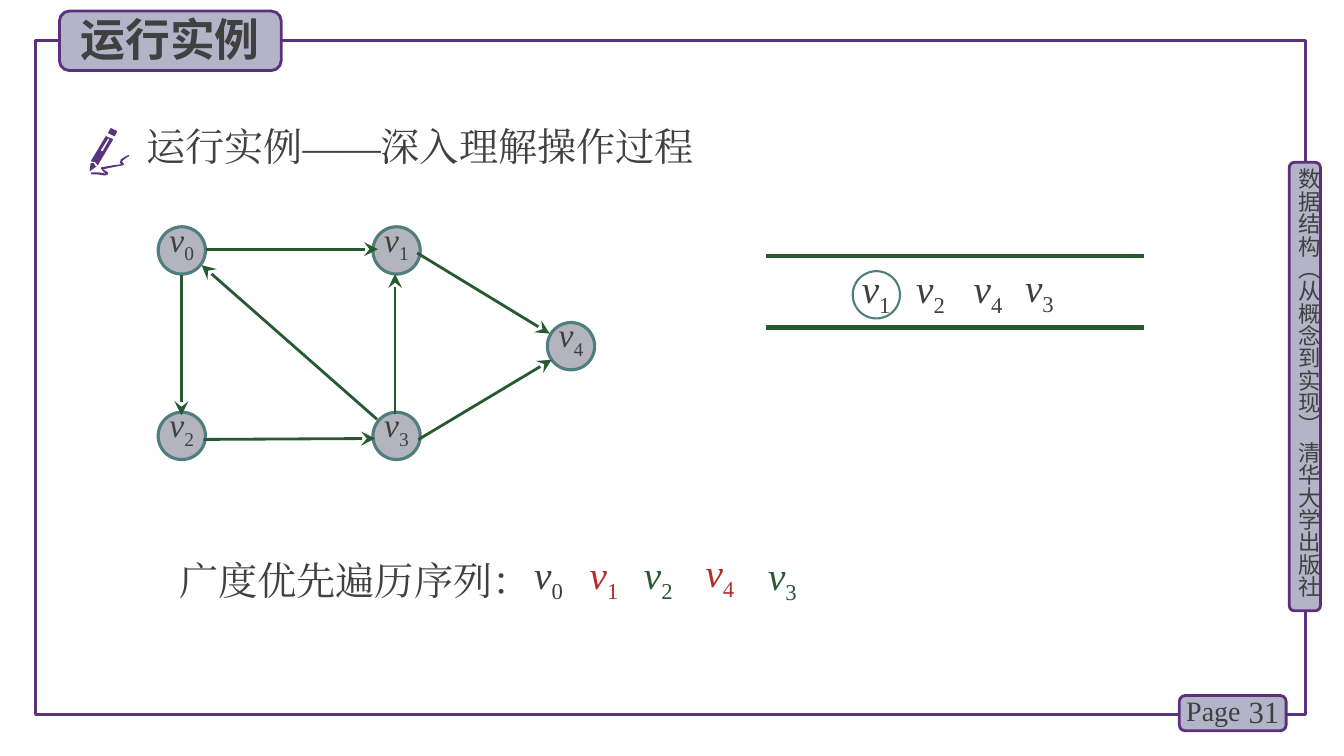
from lxml import etree
from pptx import Presentation, util as u
from pptx.dml.color import RGBColor
from pptx.enum import shapes, text
from pptx.oxml import ns

SONG, TIMES = "Noto Sans CJK SC", "Times New Roman"
INK, EDGE, RED, GREEN = "404040", "5C307D", "B42D2D", "285A32"
FRAME, TAB, NODE, RIM = "5A327D", "B4B4C8", "B4B4BE", "507D7D"
RECT, ROUND, OVAL = (shapes.MSO_SHAPE.RECTANGLE, shapes.MSO_SHAPE.ROUNDED_RECTANGLE,
                     shapes.MSO_SHAPE.OVAL)
MARGINS = ("margin_left", "margin_top", "margin_right", "margin_bottom")
SIZE = 33.8  # diameter of a graph node


def color(code):
    return RGBColor.from_string(code)


def put(item, values):
    """Set each attribute of item from a dict."""
    for name, value in values.items():
        setattr(item, name, value)


def add(parent, tag, **attrs):
    return etree.SubElement(parent, ns.qn(tag), attrs)


class Board:
    def __init__(self, slide):
        self.items = slide.shapes

    def paint(self, item, fill, line, width):
        item.shadow.inherit = False
        if fill:
            item.fill.solid()
            item.fill.fore_color.rgb = color(fill)
        else:
            item.fill.background()
        if line:
            item.line.color.rgb = color(line)
            item.line.width = u.Pt(width)
        else:
            item.line.fill.background()

    def shape(self, kind, box, fill=None, line=None, width=2):
        item = self.items.add_shape(kind, *map(u.Pt, box))
        self.paint(item, fill, line, width)
        return item

    def free(self, *loops):
        """Fill closed loops, given in tenths of a point."""
        pen = self.items.build_freeform(*loops[0][0], scale=u.Pt(0.1))
        pen.add_line_segments(loops[0][1:], close=True)
        for loop in loops[1:]:
            pen.move_to(*loop[0])
            pen.add_line_segments(loop[1:], close=True)
        self.paint(pen.convert_to_shape(), FRAME, None, 0)

    def line(self, start, end, width=2, head=False):
        item = self.items.add_connector(
            shapes.MSO_CONNECTOR.STRAIGHT, *map(u.Pt, (*start, *end)))
        item.line.color.rgb = color(GREEN)
        item.line.width = u.Pt(width)
        props = item._element.spPr
        if head:
            add(props.find(ns.qn("a:ln")), "a:tailEnd", type="stealth", w="lg", len="lg")
        add(props, "a:effectLst")

    def words(self, item, runs, size, font=TIMES, ink=INK, insets=None, frame=None, para=None):
        """Fill the item with runs of (words, font values, baseline)."""
        body = item.text_frame
        put(body, {"word_wrap": True, "vertical_anchor": text.MSO_ANCHOR.TOP, **(frame or {})})
        if insets:
            put(body, dict(zip(MARGINS, map(u.Pt, insets))))
        line = body.paragraphs[0]
        put(line, {"alignment": text.PP_ALIGN.LEFT, **(para or {})})
        for part, values, base in runs:
            run = line.add_run()
            run.text = part
            put(run.font, {"name": font, "size": u.Pt(size), **values})
            run.font.color.rgb = color(ink)
            props = run._r.get_or_add_rPr()
            add(props, "a:ea", typeface=font)
            if base:
                props.set("baseline", str(base))

    def label(self, words, box, size, bold=False, **style):
        item = self.items.add_textbox(*map(u.Pt, box))
        self.words(item, [(words, {"bold": bold}, 0)], size, **style)
        return item

    def vertex(self, item, index, size, **style):
        """Set v with its index below the line."""
        runs = [("v", {"italic": True}, 0), (str(index), {"italic": False}, -25000)]
        self.words(item, runs, size, **style)

    def symbol(self, index, left, top, ink=INK):
        item = self.items.add_textbox(*map(u.Pt, (left, top, 44.6, 36)))
        self.vertex(item, index, 28, ink=ink, insets=(1.4, 0.7, 1.4, 0.7))

    def node(self, index, left, top):
        item = self.shape(OVAL, (left, top, SIZE, SIZE), NODE, RIM, 2.25)
        self.vertex(item, index, 24, insets=(0, 0, 0, 0), para={
            "alignment": text.PP_ALIGN.CENTER, "line_spacing": u.Pt(22)})


def draw_page(board):
    board.shape(RECT, (25.2, 28.8, 907.2, 481.7), None, FRAME, 2.25)
    for box in ((920.9, 115.9, 22.3, 320.4), (842.4, 496.8, 76.3, 25.2),
                (42.5, 7.9, 158.4, 42.5)):
        board.shape(ROUND, box, TAB, EDGE)
    side = board.label("数据结构（从概念到实现） 清华大学出版社", (925.2, 120.2, 19.4, 323.3),
                       16, font=SONG, insets=(0, 0, 0, 0))
    side.text_frame._txBody.bodyPr.set("vert", "eaVert")
    board.label("31", (878.4, 493.9, 42.5, 28.8), 22,
                frame={"vertical_anchor": text.MSO_ANCHOR.MIDDLE},
                para={"alignment": text.PP_ALIGN.RIGHT})
    board.label("Page", (840.2, 491.8, 56.2, 31.7), 20)
    board.label("运行实例", (50.4, 5, 156.2, 46), 32, bold=True, font=SONG)
    board.label("运行实例——深入理解操作过程", (97.2, 84.2, 671, 41), 28)


def draw_pen(board):
    cap = [(814, 972), (821, 972), (835, 943), (835, 936), (792, 914), (770, 950)]
    nib = [(684, 1188), (670, 1166), (648, 1166), (641, 1217), (641, 1224), (691, 1188)]
    stem = [(698, 1181), (806, 1001), (806, 994), (756, 972), (648, 1152), (680, 1159)]
    slot = [(720, 1073), (770, 994), (778, 986), (778, 1001), (734, 1080), (720, 1080)]
    trail = [(922, 1109), (914, 1109), (900, 1116), (864, 1138), (857, 1159), (864, 1174),
             (806, 1181), (727, 1195), (720, 1202), (742, 1231), (756, 1238), (742, 1238),
             (698, 1231), (655, 1231), (648, 1238), (655, 1246), (698, 1246), (742, 1253),
             (756, 1253), (770, 1246), (770, 1231), (749, 1217), (734, 1210), (806, 1195),
             (878, 1181), (886, 1174), (871, 1152), (907, 1123), (922, 1116)]
    for loops in ([cap], [nib], [stem, slot], [trail]):
        board.free(*loops)


def draw_graph(board):
    board.line((269.3, 299.5), (144, 189.4), head=True)
    spots = [(113, 162), (266.4, 162), (113, 294.5), (266.4, 294.5), (391, 230.4)]
    for index, spot in enumerate(spots):
        board.node(index, *spot)
    for start, end in (((146.9, 178), (270, 178)), ((129.6, 196.6), (129.6, 296.6)),
                       ((145.4, 313.9), (268, 313.2)), ((298, 180.7), (392.6, 238.3)),
                       ((298.8, 314), (394, 257)), ((282.2, 296), (282.2, 195.8))):
        board.line(start, end, head=True)


def draw_queue(board):
    for top in (182.9, 234):
        board.line((547.2, top), (817.2, top), 3)
    for index, left, top in ((1, 614.2, 187.9), (2, 653, 187.9),
                             (4, 694.1, 187.9), (3, 730.8, 187.2)):
        board.symbol(index, left, top)
    board.shape(OVAL, (609.1, 193.7, SIZE, SIZE), None, RIM, 1.5)


def draw_order(board):
    board.label("广度优先遍历序列：", (121, 393.8, 290.9, 41), 28)
    for index, left, top, ink in ((0, 380.2, 392.4, INK), (1, 419.8, 392.4, RED),
                                  (2, 458.6, 392.4, GREEN), (4, 502.6, 391, RED),
                                  (3, 547.2, 393.1, GREEN)):
        board.symbol(index, left, top, ink)


def main():
    deck = Presentation()
    put(deck, {"slide_width": u.Pt(960), "slide_height": u.Pt(540)})
    board = Board(deck.slides.add_slide(deck.slide_layouts[6]))
    for draw in (draw_page, draw_pen, draw_graph, draw_queue, draw_order):
        draw(board)
    deck.save("out.pptx")


if __name__ == "__main__":
    main()
